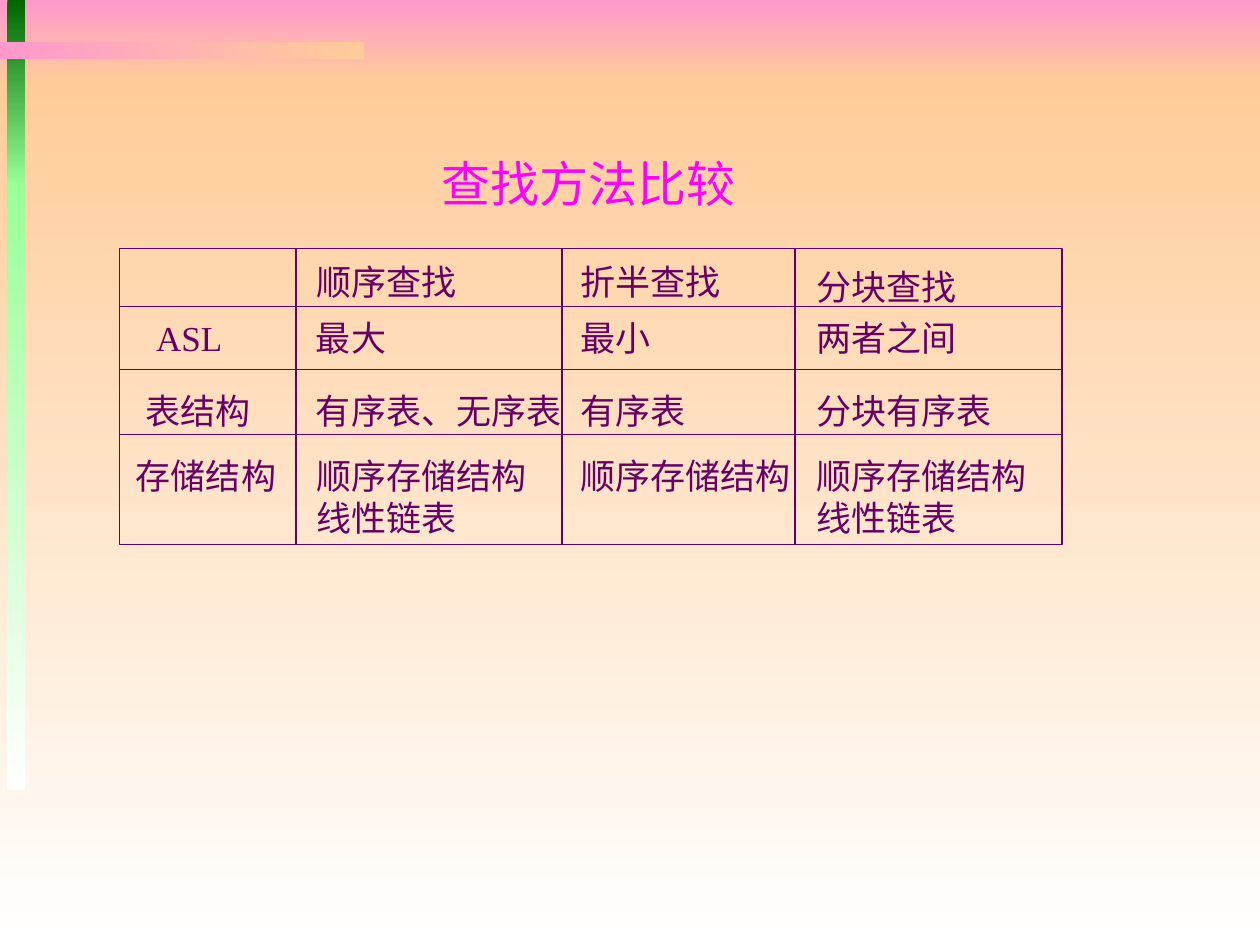
from lxml import etree
from pptx import Presentation
from pptx import util as u
from pptx.dml.color import RGBColor
from pptx.enum import shapes, text
from pptx.oxml import ns

PINK = RGBColor(0xFF, 0x99, 0xCC)
PEACH = RGBColor(0xFF, 0xCC, 0x99)
WHITE = RGBColor(0xFF, 0xFF, 0xFF)
DARK_GREEN = RGBColor(0x00, 0x66, 0x00)
LIGHT_GREEN = RGBColor(0x99, 0xFF, 0x99)
PURPLE = RGBColor(0x66, 0x00, 0x66)
MAGENTA = RGBColor(0xFF, 0x00, 0xFF)

DOWN, ACROSS = 270, 0
LEFT, TOP, RIGHT, BOTTOM = 0.95, 1.97, 8.43, 4.32
TEXT_X = (2.41, 4.51, 6.38)
LINE_X = (2.35, 4.46, 6.31)
LINE_Y = (2.43, 2.93, 3.45)
CHAR_WIDTH, SIDE_INSETS = 0.28, 0.2
HEADERS = (("顺序查找", 2.02), ("折半查找", 2.02), ("分块查找", 2.06))
ROWS = (
    (2.46, ("ASL", 1.14, 0.74), ("最大", "最小", "两者之间")),
    (3.04, ("表结构", 1.06, 1.04), ("有序表、无序表", "有序表", "分块有序表")),
    (3.56, ("存储结构", 0.98, 1.32),
     ("顺序存储结构\n线性链表", "顺序存储结构", "顺序存储结构\n线性链表")),
)


class Deck:
    """Hold the text and line style together with the current slide."""

    body = {"name": "Times New Roman", "size": u.Pt(20)}
    title = {"name": "Noto Sans CJK SC", "size": u.Pt(28)}
    line_width = u.Pt(0.75)

    def __init__(self, s):
        self.s = s

    def rect(self, *box):
        sp = self.s.shapes.add_shape(shapes.MSO_SHAPE.RECTANGLE, *map(u.Inches, box))
        sp.shadow.inherit = False
        return sp

    def gradient(self, box, start, end, angle=DOWN):
        sp = self.rect(*box)
        sp.line.fill.background()
        sp.fill.gradient()
        sp.fill.gradient_angle = angle
        for stop, color in zip(sp.fill.gradient_stops, (start, end)):
            stop.color.rgb = color

    def stroke(self, sp):
        sp.line.color.rgb = PURPLE
        sp.line.width = self.line_width

    def frame(self, *box):
        sp = self.rect(*box)
        sp.fill.background()
        self.stroke(sp)

    def rule(self, x1, y1, x2, y2):
        sp = self.s.shapes.add_connector(
            shapes.MSO_CONNECTOR.STRAIGHT, *map(u.Inches, (x1, y1, x2, y2)))
        self.stroke(sp)
        etree.SubElement(sp._element.spPr, ns.qn("a:effectLst"))

    def label(self, words, x, y, w, h=0.43, font=body, color=PURPLE):
        sp = self.s.shapes.add_textbox(*map(u.Inches, (x, y, w, h)))
        tf = sp.text_frame
        tf.word_wrap = False
        tf.auto_size = text.MSO_AUTO_SIZE.SHAPE_TO_FIT_TEXT
        tf.text = words
        for p in tf.paragraphs:
            for r in p.runs:
                for key, value in font.items():
                    setattr(r.font, key, value)
                r.font.color.rgb = color

    def cell(self, words, x, y):
        lines = words.split("\n")
        w = CHAR_WIDTH * len(lines[0]) + SIDE_INSETS
        self.label(words, x, y, w, 0.43 if len(lines) == 1 else 0.77)


def main():
    prs = Presentation()
    prs.slide_width, prs.slide_height = u.Inches(10), u.Inches(7.5)
    deck = Deck(prs.slides.add_slide(prs.slide_layouts[6]))

    deck.gradient((0, 0, 10, 0.67), PINK, PEACH)
    deck.gradient((0, 0.67, 10, 6.83), PEACH, WHITE)
    deck.gradient((0.06, 0, 0.14, 1.48), DARK_GREEN, LIGHT_GREEN)
    deck.gradient((0.06, 1.46, 0.14, 4.81), LIGHT_GREEN, WHITE)
    deck.gradient((0, 0.33, 2.89, 0.14), PINK, PEACH, ACROSS)

    for y, (name, x, w), values in ROWS:
        deck.label(name, x, y, w)
        for value, column in zip(values, TEXT_X):
            deck.cell(value, column, y)
    deck.label("查找方法比较", 3.41, 1.17, 2.56, 0.57, Deck.title, MAGENTA)
    for (header, y), column in zip(HEADERS, TEXT_X):
        deck.cell(header, column, y)

    deck.frame(LEFT, TOP, RIGHT - LEFT, BOTTOM - TOP)
    for x in LINE_X:
        deck.rule(x, TOP, x, BOTTOM)
    for y in LINE_Y:
        deck.rule(LEFT, y, RIGHT, y)

    prs.save("out.pptx")


if __name__ == "__main__":
    main()
